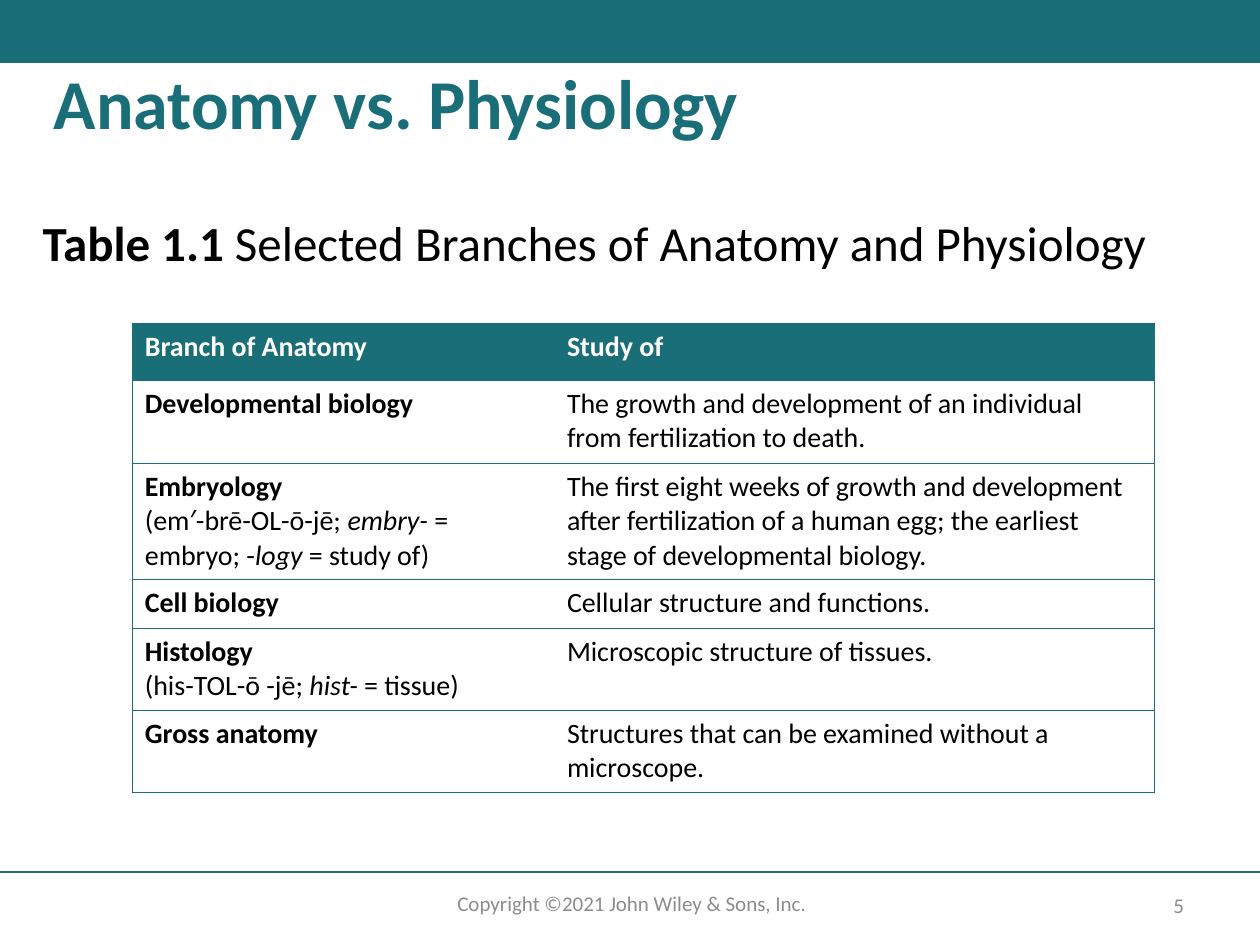
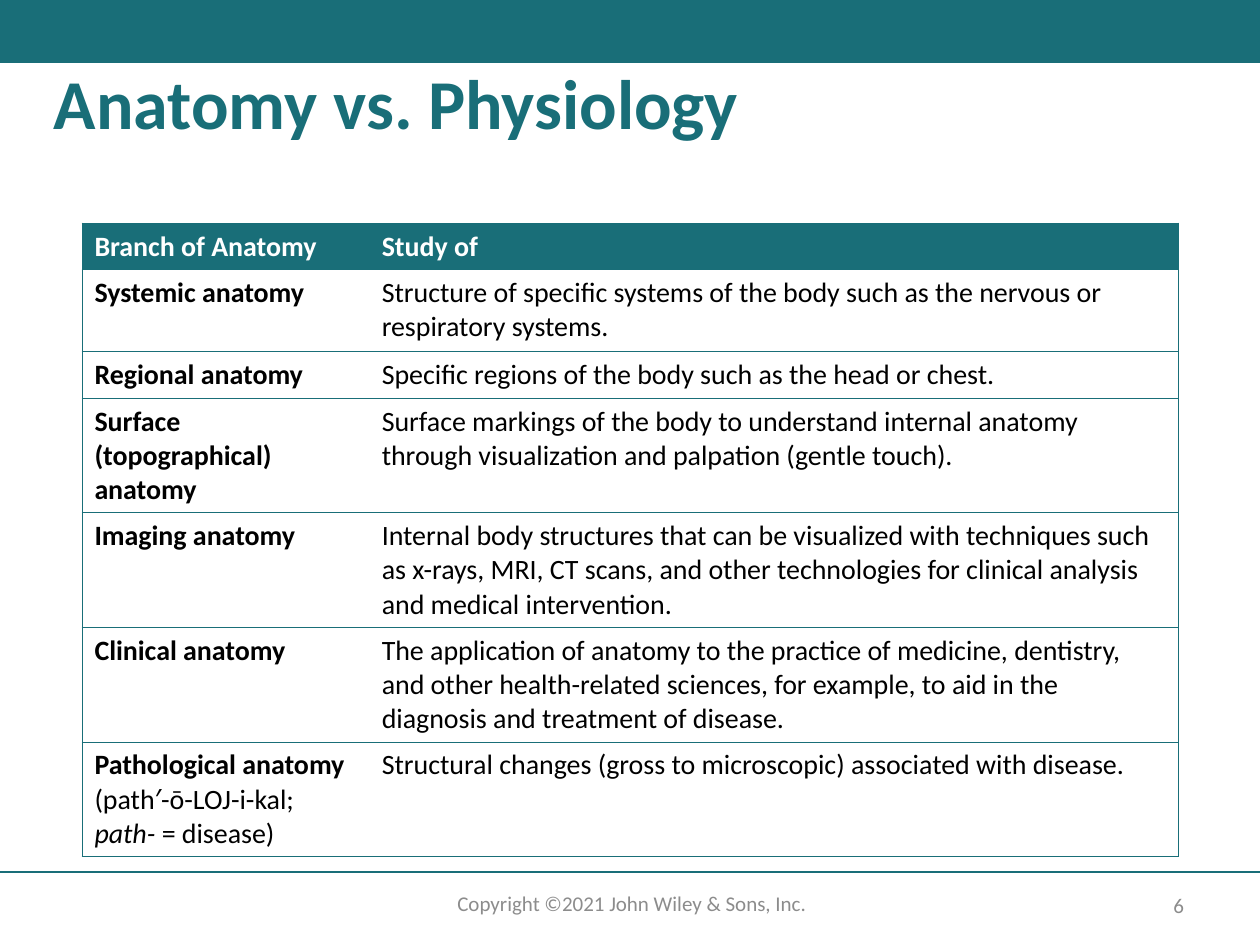
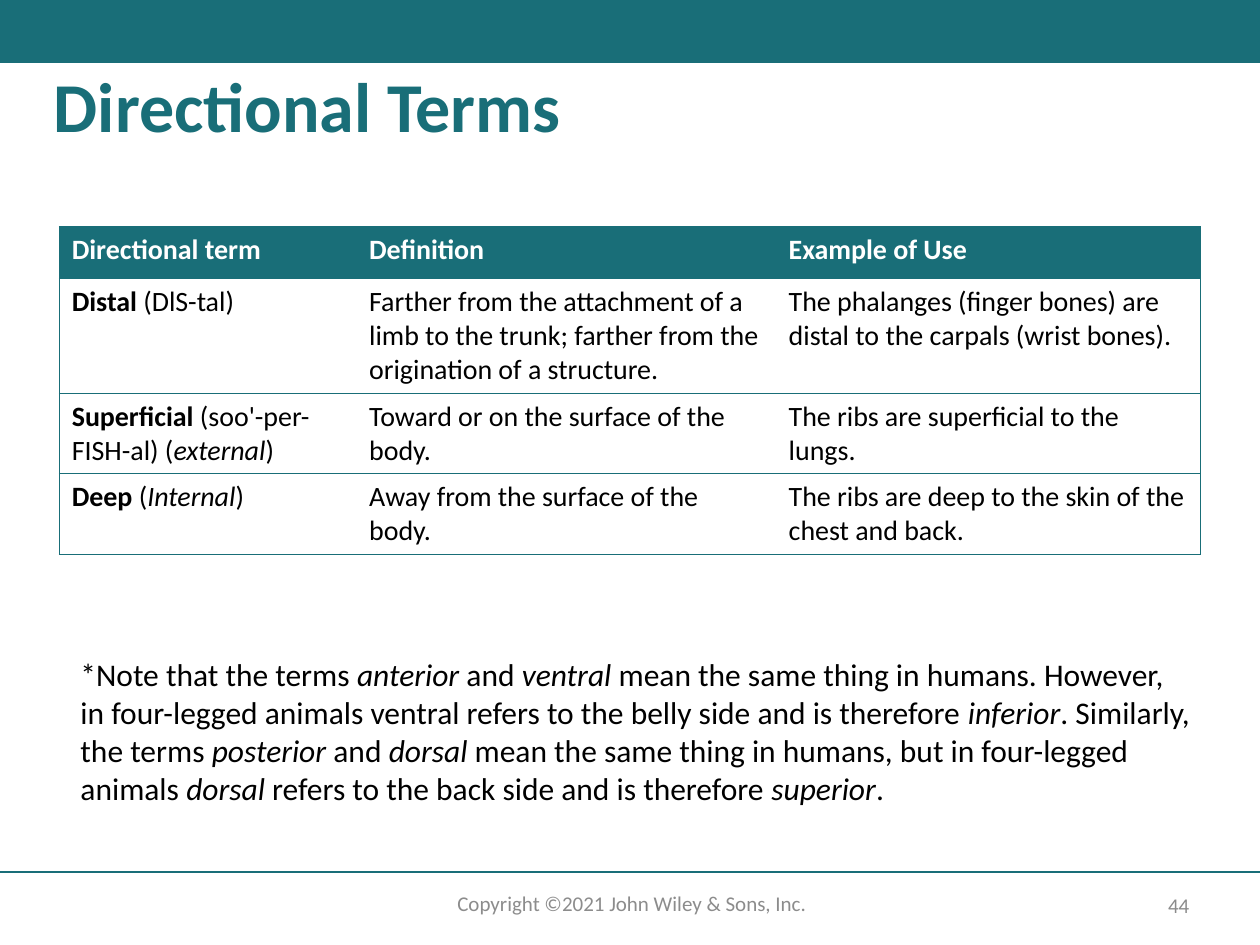
from lxml import etree
from pptx import Presentation
from pptx.dml.color import RGBColor
from pptx.enum.shapes import MSO_CONNECTOR, MSO_SHAPE
from pptx.enum.text import MSO_ANCHOR, PP_ALIGN
from pptx.oxml.ns import qn
from pptx.util import Inches, Pt

RECTANGLE = MSO_SHAPE.RECTANGLE
STRAIGHT = MSO_CONNECTOR.STRAIGHT
TOP, MIDDLE = MSO_ANCHOR.TOP, MSO_ANCHOR.MIDDLE
LEFT, CENTER = PP_ALIGN.LEFT, PP_ALIGN.CENTER

FONT = "Calibri"
TEAL, WHITE, BLACK, GRAY = "196E78", "FFFFFF", "000000", "8C8C8C"
PAGE_WIDTH, PAGE_HEIGHT = 10, 7.5
COPYRIGHT = "Copyright ©2021 John Wiley & Sons, Inc."

# Text marks: ^ turns bold on and off, _ turns italic on and off,
# and a line break starts a new paragraph.
ANATOMY_HEADER = ["^Branch of Anatomy^", "^Study of^"]
BRANCHES = [
    ANATOMY_HEADER,
    ["^Developmental biology^",
     "The growth and development of an individual from fertilization to death."],
    ["^Embryology^\n(em′-brē-OL-ō-jē; _embry-_ = embryo; -_logy_ = study of)",
     "The first eight weeks of growth and development after fertilization of a "
     "human egg; the earliest stage of developmental biology."],
    ["^Cell biology^", "Cellular structure and functions."],
    ["^Histology^\n(his-TOL-ō -jē; _hist-_ = tissue)",
     "Microscopic structure of tissues."],
    ["^Gross anatomy^",
     "Structures that can be examined without a microscope."],
]
MORE_BRANCHES = [
    ANATOMY_HEADER,
    ["^Systemic anatomy^",
     "Structure of specific systems of the body such as the nervous or "
     "respiratory systems."],
    ["^Regional anatomy^",
     "Specific regions of the body such as the head or chest."],
    ["^Surface (topographical) anatomy^",
     "Surface markings of the body to understand internal anatomy through "
     "visualization and palpation (gentle touch)."],
    ["^Imaging anatomy^",
     "Internal body structures that can be visualized with techniques such as "
     "x-rays, MRI, CT scans, and other technologies for clinical analysis and "
     "medical intervention."],
    ["^Clinical anatomy^",
     "The application of anatomy to the practice of medicine, dentistry, and "
     "other health-related sciences, for example, to aid in the diagnosis and "
     "treatment of disease."],
    ["^Pathological anatomy^\n(path′-ō-LOJ-i-kal; _path-_ = disease)",
     "Structural changes (gross to microscopic) associated with disease."],
]
DIRECTIONS = [
    ["^Directional term^", "^Definition^", "^Example of Use^"],
    ["^Distal^ (DlS-tal)",
     "Farther from the attachment of a limb to the trunk; farther from the "
     "origination of a structure.",
     "The phalanges (finger bones) are distal to the carpals (wrist bones)."],
    ["^Superficial^ (soo'-per-FISH-al) (_external_)",
     "Toward or on the surface of the body.",
     "The ribs are superficial to the lungs."],
    ["^Deep^ (_Internal_)",
     "Away from the surface of the body.",
     "The ribs are deep to the skin of the chest and back."],
]
NOTE = (
    "*Note that the terms _anterior_ and _ventral_ mean the same thing in "
    "humans. However, in four-legged animals ventral refers to the belly side "
    "and is therefore _inferior_. Similarly, the terms _posterior_ and _dorsal_ "
    "mean the same thing in humans, but in four-legged animals _dorsal_ refers "
    "to the back side and is therefore _superior_."
)


def color(hex_value):
    return RGBColor.from_string(hex_value)


def write(frame, text, size, ink, align=LEFT, spacing=1.0):
    """Fill a text frame with marked text."""
    for number, line in enumerate(text.split("\n")):
        para = frame.add_paragraph() if number else frame.paragraphs[0]
        para.alignment, para.line_spacing = align, spacing
        for bold, part in enumerate(line.split("^")):
            for italic, words in enumerate(part.split("_")):
                if not words:
                    continue
                span = para.add_run()
                span.text = words
                span.font.color.rgb = color(ink)
                look = {"name": FONT, "size": Pt(size),
                        "bold": bold % 2 == 1, "italic": italic % 2 == 1}
                for key, value in look.items():
                    setattr(span.font, key, value)


def add_text(page, box, text, size, ink, anchor=TOP, **layout):
    frame = page.shapes.add_textbox(*map(Inches, box)).text_frame
    frame.word_wrap = True
    frame.vertical_anchor = anchor
    write(frame, text, size, ink, **layout)


def add_page(deck, title, number, title_top=0.5):
    """Start a slide with its band, title and footer."""
    page = deck.slides.add_slide(deck.slide_layouts[6])
    # Top band
    band = page.shapes.add_shape(RECTANGLE, 0, 0, Inches(PAGE_WIDTH), Inches(0.5))
    band.shadow.inherit = False
    band.fill.solid()
    band.fill.fore_color.rgb = color(TEAL)
    band.line.fill.background()
    # Footer
    rule_y = Inches(6.92)
    rule = page.shapes.add_connector(STRAIGHT, 0, rule_y, Inches(PAGE_WIDTH), rule_y)
    rule.line.color.rgb = color(TEAL)
    rule.line.width = Pt(1)
    etree.SubElement(rule._element.spPr, qn("a:effectLst"))
    add_text(page, (3.22, 7.02, 3.59, 0.3), COPYRIGHT, 12, GRAY, align=CENTER)
    add_text(page, (9.05, 7.04, 0.61, 0.28), str(number), 12, GRAY, MIDDLE, align=CENTER)
    # Title
    add_text(page, (0.33, title_top, 9.33, 0.92), f"^{title}^", 40, TEAL, spacing=0.9)
    return page


def set_borders(cell, drawn):
    """Draw the named sides of a cell and clear the others."""
    properties = cell._tc.get_or_add_tcPr()
    for position, side in enumerate("LRTB"):
        line = etree.Element(qn(f"a:ln{side}"), w=str(Pt(0.5)))
        if side in drawn:
            fill = etree.SubElement(line, qn("a:solidFill"))
            etree.SubElement(fill, qn("a:srgbClr"), val=TEAL)
        else:
            etree.SubElement(line, qn("a:noFill"))
        properties.insert(position, line)


def add_grid(page, left, top, widths, heights, rows):
    """Place a table with a teal header row and horizontal rules."""
    box = (left, top, sum(widths), sum(heights))
    table = page.shapes.add_table(len(rows), len(widths), *map(Inches, box)).table
    table.first_row = table.horz_banding = False
    for column, width in zip(table.columns, widths):
        column.width = Inches(width)
    for row, height in zip(table.rows, heights):
        row.height = Inches(height)
    last = len(widths) - 1
    for row_index, texts in enumerate(rows):
        fill, ink = (WHITE, BLACK) if row_index else (TEAL, WHITE)
        for column_index, text in enumerate(texts):
            cell = table.cell(row_index, column_index)
            cell.margin_left = cell.margin_right = Inches(0.1)
            cell.margin_top = cell.margin_bottom = Inches(0.05)
            cell.fill.solid()
            cell.fill.fore_color.rgb = color(fill)
            write(cell.text_frame, text, 16, ink)
            sides = "TB" + "L" * (column_index == 0) + "R" * (column_index == last)
            set_borders(cell, sides)


def main():
    deck = Presentation()
    deck.slide_width, deck.slide_height = Inches(PAGE_WIDTH), Inches(PAGE_HEIGHT)

    # Branches of anatomy, first part
    page = add_page(deck, "Anatomy vs. Physiology", 5)
    add_text(page, (0.24, 1.69, 9.33, 0.66),
             "^Table 1.1 ^Selected Branches of Anatomy and Physiology",
             28, BLACK, spacing=0.9)
    add_grid(page, 1.05, 2.57, [3.35, 4.76],
             [0.45, 0.66, 0.92, 0.39, 0.65, 0.65], BRANCHES)

    # Branches of anatomy, second part
    page = add_page(deck, "Anatomy vs. Physiology", 6)
    add_grid(page, 0.65, 1.77, [2.28, 6.42],
             [0.37, 0.65, 0.37] + [0.91] * 4, MORE_BRANCHES)

    # Directional terms
    page = add_page(deck, "Directional Terms", 44, title_top=0.52)
    add_grid(page, 0.47, 1.8, [2.36, 3.33, 3.37],
             [0.41, 0.91, 0.64, 0.64], DIRECTIONS)
    add_text(page, (0.54, 5.15, 9.01, 1.32), NOTE, 18, BLACK)

    deck.save("out.pptx")


if __name__ == "__main__":
    main()
